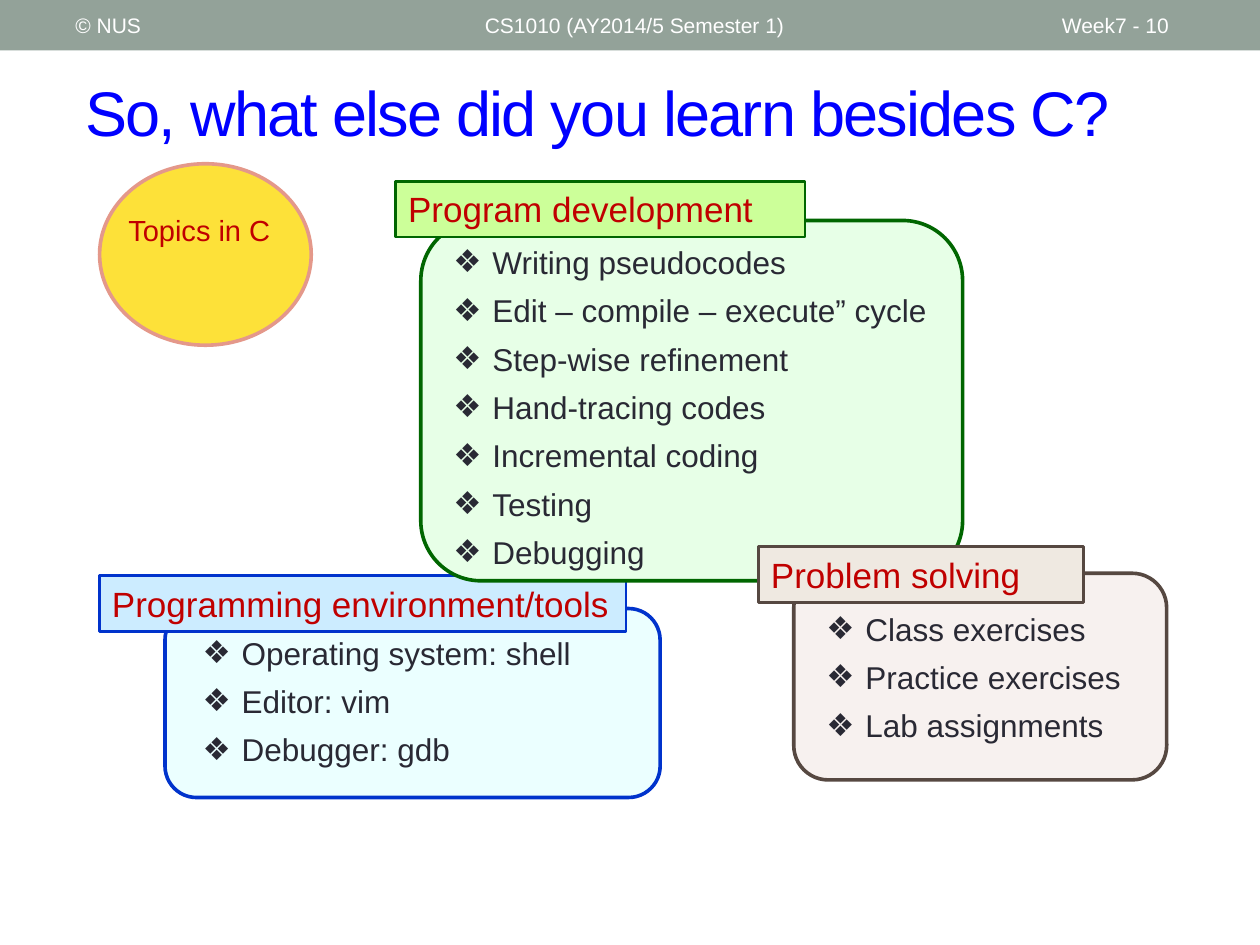
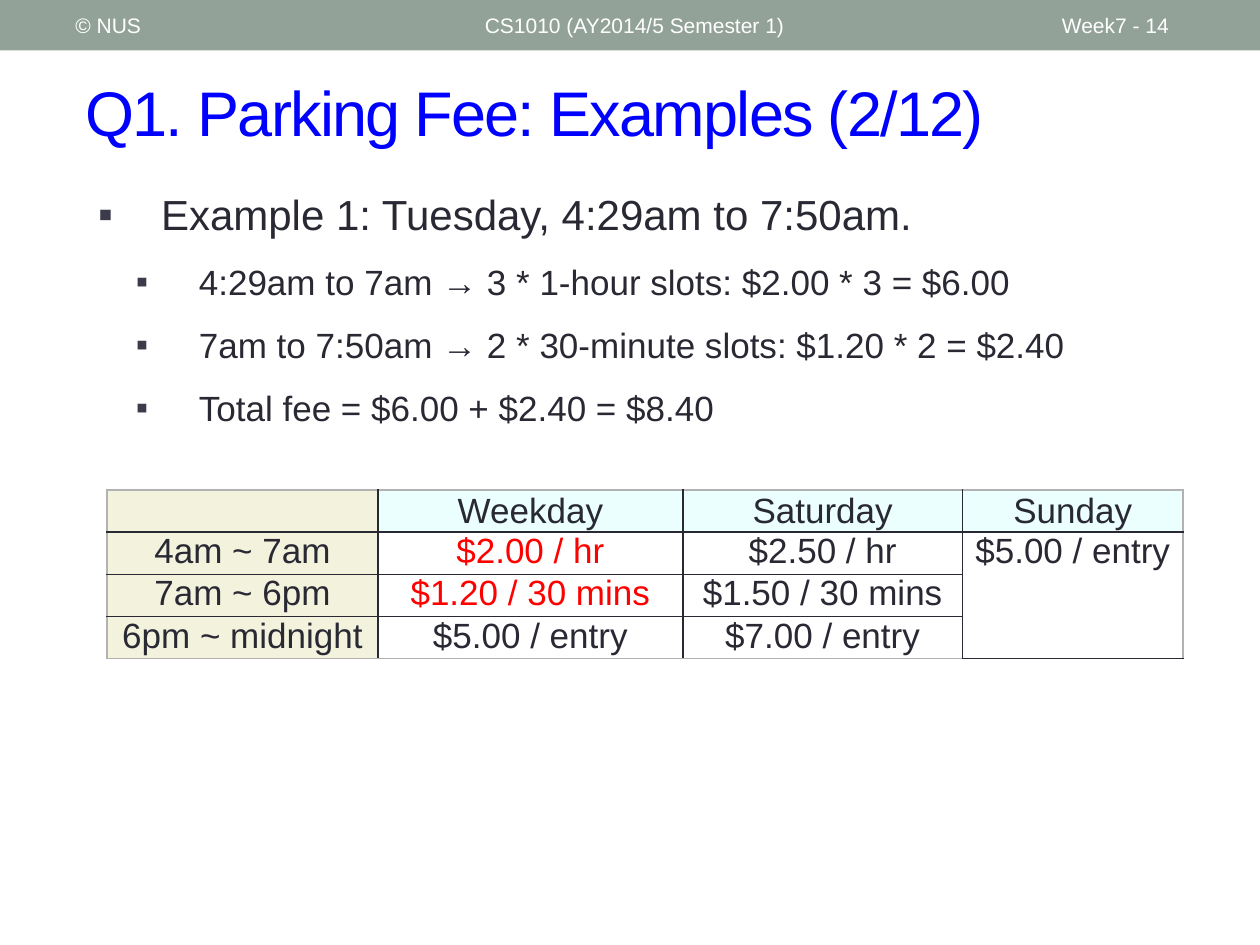
from lxml import etree
from pptx import Presentation
from pptx import util as u
from pptx.dml.color import RGBColor
from pptx.enum import shapes, text
from pptx.oxml import ns

COLS, ROWS = 100, 75
INK, RED, BLUE, WHITE = "292934", "C00000", "0000FF", "FFFFFF"
BAND, MARK, HOT = "93A299", "3B3B4B", "FF0000"
HEAD, SIDE, EDGE = "EBFFFF", "F3F2DC", "B2B2B2"
FORM, ALIGN, MID = shapes.MSO_SHAPE, text.PP_ALIGN, text.MSO_ANCHOR.MIDDLE


def rgb(code):
    return RGBColor.from_string(code)


def add(node, tag, **attrs):
    return etree.SubElement(node, ns.qn(tag), **attrs)


class Deck:
    """Holds the shared style and the current slide."""

    def __init__(self):
        self.prs = Presentation()
        self.prs.slide_width = u.Inches(10)
        self.prs.slide_height = u.Inches(7.5)
        self.slide = self.host = None

    def x(self, cols):
        return int(self.prs.slide_width * cols / COLS)

    def y(self, rows):
        return int(self.prs.slide_height * rows / ROWS)

    def box(self, at):
        left, top, wide, high = at
        return self.x(left), self.y(top), self.x(wide), self.y(high)

    # Shared slide frame: band, footer texts, title
    def page(self, title, number):
        self.slide = self.prs.slides.add_slide(self.prs.slide_layouts[6])
        self.group(False)
        self.shape((0, 0, COLS, 4), FORM.RECTANGLE, BAND)
        notes = (("© NUS", 5, 31.7), ("CS1010 (AY2014/5 Semester 1)", 37.5, 45),
                 (f"Week7 - {number}", 83.3, 11.7))
        for words, left, wide in notes:
            self.words((left, 0.2, wide, 3.6), words, 12, WHITE, MID)
        head = self.words((5.8, 4.2, 91.7, 9.2), title, 36, BLUE, MID)
        head.runs[0].font._element.set("spc", "-100")

    # Later elements go to a new group, or straight on the slide
    def group(self, on=True):
        tree = self.slide.shapes
        self.host = tree.add_group_shape().shapes if on else tree

    def shape(self, at, form, fill, line=None, width=2.08):
        item = self.host.add_shape(form, *self.box(at))
        item.shadow.inherit = False
        item.fill.solid()
        item.fill.fore_color.rgb = rgb(fill)
        if line:
            item.line.color.rgb = rgb(line)
            item.line.width = u.Pt(width)
        else:
            item.line.fill.background()
        return item

    def font(self, para, size, color=INK):
        para.font.name = "Arial"
        para.font.size = u.Pt(size)
        para.font.color.rgb = rgb(color)

    def frame(self, at):
        frame = self.host.add_textbox(*self.box(at)).text_frame
        frame.word_wrap = True
        return frame

    def words(self, at, words, size, color, anchor=text.MSO_ANCHOR.TOP):
        frame = self.frame(at)
        frame.vertical_anchor = anchor
        para = frame.paragraphs[0]
        para.text = words
        self.font(para, size, color)
        return para

    # Bulleted list; each row is (words, size, level)
    def bullets(self, at, rows, mark, color, hang, gap, align=ALIGN.LEFT):
        frame = self.frame(at)
        for i, (words, size, level) in enumerate(rows):
            para = frame.add_paragraph() if i else frame.paragraphs[0]
            para.text = words
            para.level = level
            para.alignment = align
            para.space_before = u.Pt(gap if i else 0)
            props = para._p.get_or_add_pPr()
            props.set("marL", str(u.Inches(hang + 0.3 * level)))
            props.set("indent", str(-u.Inches(hang)))
            add(add(props, "a:buClr"), "a:srgbClr", val=color)
            add(props, "a:buFont", typeface="Arial")
            add(props, "a:buChar", char=mark)
            self.font(para, size)

    # Rounded panel with a list and a title tag over its corner
    def panel(self, name, tag, body, inner, fills, line, items):
        self.group()
        self.shape(body, FORM.ROUNDED_RECTANGLE, fills[0], line)
        rows = [(item, 18, 0) for item in items]
        self.bullets(inner, rows, "❖", INK, 0.31, 6)
        label = self.shape(tag, FORM.RECTANGLE, fills[1], line, 1.5)
        label.text_frame.vertical_anchor = text.MSO_ANCHOR.TOP
        para = label.text_frame.paragraphs[0]
        para.text = name
        para.alignment = ALIGN.LEFT
        self.font(para, 20, RED)

    def border(self, cell, sides):
        props = cell._tc.get_or_add_tcPr()
        for i, (side, color) in enumerate(sides.items()):
            line = etree.Element(ns.qn("a:" + side), w=str(u.Pt(1)))
            add(add(line, "a:solidFill"), "a:srgbClr", val=color)
            props.insert(i, line)

    # Rate table: header row, side column, last column merged downwards
    def rates(self, at, widths, rows, hot):
        down, across = len(rows), len(widths)
        grid = self.host.add_table(down, across, *self.box(at)).table
        for col, wide in zip(grid.columns, widths):
            col.width = self.x(wide)
        for r, row in enumerate(rows):
            grid.rows[r].height = self.y(at[3] / down)
            for c, words in enumerate(row):
                cell = grid.cell(r, c)
                cell.margin_left = cell.margin_right = u.Inches(0.07)
                cell.margin_top = cell.margin_bottom = 0
                if r == 0:
                    cell.vertical_anchor = MID
                cell.fill.solid()
                fill = SIDE if c == 0 else HEAD if r == 0 else WHITE
                cell.fill.fore_color.rgb = rgb(fill)
                para = cell.text_frame.paragraphs[0]
                para.text = words
                para.alignment = ALIGN.CENTER
                self.font(para, 20, HOT if (r, c) in hot else INK)
                self.border(cell, {
                    "lnL": INK if c else EDGE,
                    "lnR": INK if c < across - 1 else EDGE,
                    "lnT": INK if r else EDGE,
                    "lnB": INK if r < down - 1 else EDGE})
        grid.cell(1, across - 1).merge(grid.cell(down - 1, across - 1))


def skills(deck):
    deck.page("So, what else did you learn besides C?", 10)
    deck.shape((7.9, 13, 16.8, 14.4), FORM.OVAL, "FDE139", "E4988A")
    deck.words((9.2, 16.4, 14.1, 3.9), "Topics in C", 16.6, RED)

    deck.panel("Programming environment/tools",
               (7.9, 45.7, 41.8, 4.4), (13.1, 48.3, 39.3, 15),
               (15.1, 49.8, 34.6, 11.8), ("EBFFFF", "CCECFF"), "0033CC",
               ["Operating system: shell", "Editor: vim", "Debugger: gdb"])
    deck.panel("Program development",
               (31.4, 14.4, 32.5, 4.4), (33.4, 17.5, 43, 28.6),
               (35, 18.8, 39.9, 27.3), ("E7FFE7", "CCFF99"), "006600",
               ["Writing pseudocodes", "Edit – compile – execute” cycle",
                "Step-wise refinement", "Hand-tracing codes",
                "Incremental coding", "Testing", "Debugging"])
    deck.panel("Problem solving",
               (60.2, 43.4, 25.8, 4.4), (63, 45.5, 29.6, 16.4),
               (64.6, 47.9, 26.7, 11.8), ("F7F1EF", "EFE9E1"), "564841",
               ["Class exercises", "Practice exercises", "Lab assignments"])


def parking(deck):
    deck.page("Q1. Parking Fee: Examples (2/12)", 14)
    deck.bullets((6.8, 14.5, 89.1, 22), [
        ("Example 1: Tuesday, 4:29am to 7:50am.", 24, 0),
        ("4:29am to 7am → 3 * 1-hour slots: $2.00 * 3 = $6.00", 20, 1),
        ("7am to 7:50am → 2 * 30-minute slots: $1.20 * 2 = $2.40", 20, 1),
        ("Total fee = $6.00 + $2.40 = $8.40", 20, 1),
    ], "▪", MARK, 0.5, 12, ALIGN.JUSTIFY)
    deck.rates((8.5, 38.9, 85.4, 12.4), (21.5, 24.2, 22.2, 17.5), [
        ("", "Weekday", "Saturday", "Sunday"),
        ("4am ~ 7am", "$2.00 / hr", "$2.50 / hr", "$5.00 / entry"),
        ("7am ~ 6pm", "$1.20 / 30 mins", "$1.50 / 30 mins", ""),
        ("6pm ~ midnight", "$5.00 / entry", "$7.00 / entry", ""),
    ], {(1, 1), (2, 1)})


def main():
    deck = Deck()
    skills(deck)
    parking(deck)
    deck.prs.save("out.pptx")


if __name__ == "__main__":
    main()
